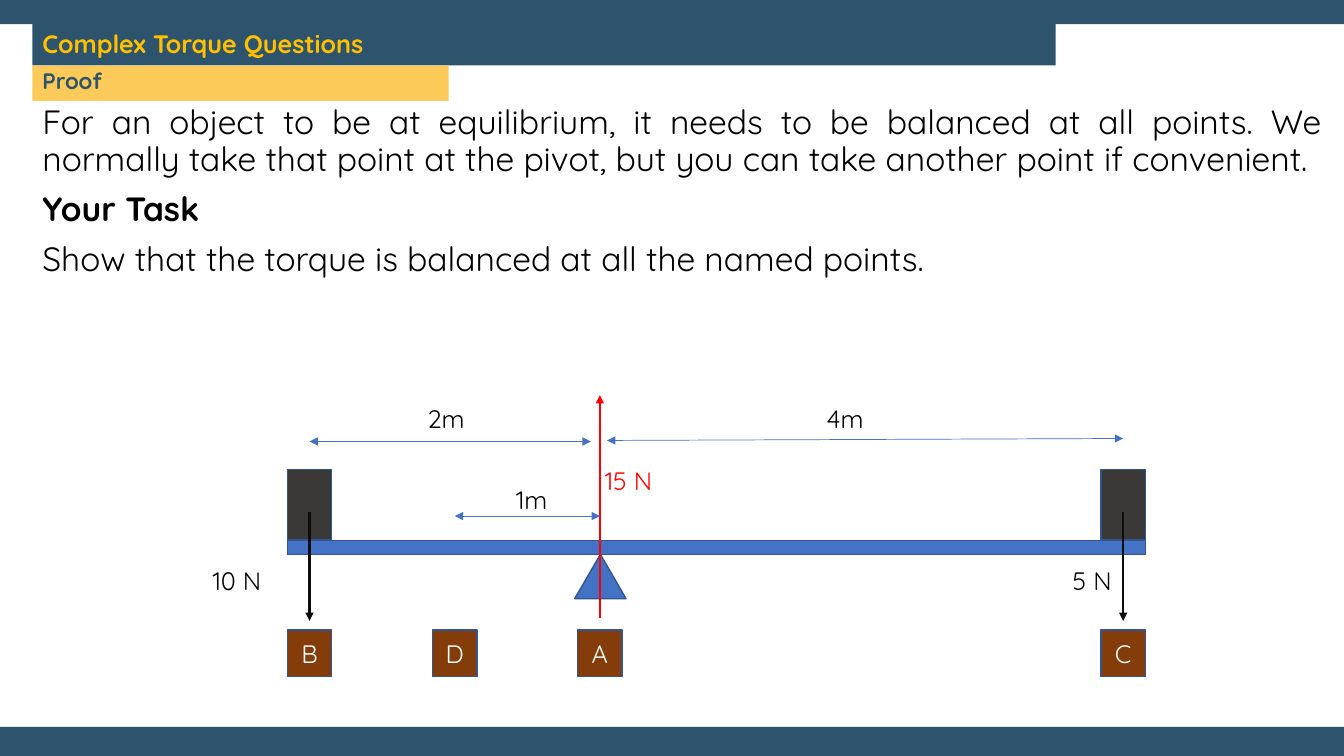
import pptx
import pptx.util
import pptx.dml.color
import pptx.enum.shapes
import pptx.enum.text
import lxml.etree

PX = 9144  # 100 px to the inch
FONT = "Quicksand"
NAVY, GOLD, WHITE, BLACK = "2E546D", "FBCA58", "FFFFFF", "000000"
BLUE, EDGE, BROWN, DARK, RED = "4472C4", "325491", "843C0B", "3B3838", "FF0000"
KIND = pptx.enum.shapes.MSO_SHAPE
ALIGN = pptx.enum.text.PP_ALIGN
ANCHOR = pptx.enum.text.MSO_ANCHOR


def emu(*nums):
    return [round(n * PX) for n in nums]


def paint(form, color):
    """Give a fill or a line format one solid colour."""
    if hasattr(form, "solid"):
        form.solid()
        form.fore_color.rgb = pptx.dml.color.RGBColor.from_string(color)
    else:
        paint(form.fill, color)


def style(para, size, color, bold=False, align=ALIGN.LEFT):
    para.alignment = align
    for run in para.runs:
        font = run.font
        font.name, font.size, font.bold = FONT, pptx.util.Pt(size), bold
        font.color.rgb = pptx.dml.color.RGBColor.from_string(color)


def shape(slide, kind, box, fill, edge=None):
    item = slide.shapes.add_shape(kind, *emu(*box))
    item.shadow.inherit = False
    paint(item.fill, fill)
    if edge:
        paint(item.line, edge)
        item.line.width = pptx.util.Pt(1)
    else:
        item.line.fill.background()
    return item


def label(slide, text, left, top, color=BLACK):
    box = slide.shapes.add_textbox(*emu(left, top, 76, 40))
    box.text_frame.word_wrap = True
    box.text_frame.text = text
    style(box.text_frame.paragraphs[0], 18, color, align=ALIGN.JUSTIFY)


def arrow(slide, start, end, color, width, both=False):
    line = slide.shapes.add_connector(
        pptx.enum.shapes.MSO_CONNECTOR.STRAIGHT, *emu(*start, *end))
    paint(line.line, color)
    line.line.width = pptx.util.Pt(width)
    tree = line.line._get_or_add_ln()
    for tag in ["headEnd", "tailEnd"] if both else ["tailEnd"]:
        tip = lxml.etree.SubElement(tree, pptx.oxml.ns.qn("a:" + tag))
        tip.set("type", "triangle")
    lxml.etree.SubElement(line._element.spPr, pptx.oxml.ns.qn("a:effectLst"))


def fill_holder(holder, box, lines, anchor=ANCHOR.TOP):
    """Move a placeholder and write plain paragraphs without bullets."""
    holder.left, holder.top, holder.width, holder.height = emu(*box)
    frame = holder.text_frame
    frame.auto_size = pptx.enum.text.MSO_AUTO_SIZE.NONE
    frame.word_wrap = True
    frame.vertical_anchor = anchor
    for i, (text, *look) in enumerate(lines):
        para = frame.add_paragraph() if i else frame.paragraphs[0]
        props = para._p.get_or_add_pPr()
        props.set("marL", "0")
        props.set("indent", "0")
        lxml.etree.SubElement(props, pptx.oxml.ns.qn("a:buNone"))
        para.text = text
        para.line_spacing = 0.9
        para.space_before = pptx.util.Pt(10 if i else 0)
        style(para, *look)


def frame(slide, wide, high):
    """Dark bands along the top and bottom edges."""
    shape(slide, KIND.RECTANGLE, (0, 0, wide, 24), NAVY)
    shape(slide, KIND.RECTANGLE, (0, 721, wide, high - 721), NAVY)


def header(slide, left, top):
    title, sub, body = slide.placeholders
    paint(title.fill, NAVY)
    paint(sub.fill, GOLD)
    fill_holder(title, (left, top, 1015, 41),
                [("Complex Torque Questions", 18, "FFC000", True)],
                ANCHOR.MIDDLE)
    fill_holder(sub, (left, top + 41, 413, 35), [("Proof", 16, NAVY, True)])
    fill_holder(body, (left, top + 76, 1289, 190), [
        ("For an object to be at equilibrium, it needs to be balanced at all "
         "points. We normally take that point at the pivot, but you can take "
         "another point if convenient.", 24, BLACK, False, ALIGN.JUSTIFY),
        ("Your Task", 24, BLACK, True, ALIGN.JUSTIFY),
        ("Show that the torque is balanced at all the named points.",
         24, BLACK, False, ALIGN.JUSTIFY)])


def load(slide, mid, beam, text, gap):
    """Block on the beam with its weight arrow and label."""
    shape(slide, KIND.RECTANGLE, (mid - 22, beam - 70, 44, 70), DARK, EDGE)
    arrow(slide, (mid, beam - 28), (mid, beam + 80), "0D0D0D", 1.5)
    label(slide, text, mid - gap, beam + 20)


def balance(slide, left, top, wide):
    beam = top + 144
    spots = {"B": left + 22, "D": left + 166, "A": left + 310,
             "C": left + wide - 22}
    pivot = spots["A"]
    label(slide, "15 N", pivot - 5, top + 65, RED)
    shape(slide, KIND.RECTANGLE, (left, beam, wide, 14), BLUE, EDGE)
    shape(slide, KIND.ISOSCELES_TRIANGLE, (pivot - 25, beam + 14, 51, 44),
          BLUE, EDGE)
    load(slide, spots["B"], beam, "10 N", 106)
    load(slide, spots["C"], beam, "5 N", 60)
    arrow(slide, (pivot, top + 221), (pivot, top), RED, 1.5)

    for name, mid in spots.items():
        tag = shape(slide, KIND.RECTANGLE, (mid - 22, top + 233, 44, 46),
                    BROWN, EDGE)
        tag.text_frame.text = name
        tag.text_frame.vertical_anchor = ANCHOR.MIDDLE
        style(tag.text_frame.paragraphs[0], 18, WHITE, align=ALIGN.CENTER)

    spans = [("2m", spots["B"], pivot - 9, 46, 46, 414),
             ("4m", pivot + 7, spots["C"], 45, 43, 810),
             ("1m", spots["D"], pivot, 120, 120, 502)]
    for text, start, end, high, low, place in spans:
        arrow(slide, (start, top + high), (end, top + low), BLUE, 0.5, True)
        label(slide, text, left + place - 285, top + (84 if text == "1m" else 3))


def main():
    deck = pptx.Presentation()
    deck.slide_width, deck.slide_height = emu(1333, 750)
    slide = deck.slides.add_slide(deck.slide_layouts.get_by_name("Two Content"))
    for holder in list(slide.placeholders):
        if holder.placeholder_format.idx > 2:
            holder._element.getparent().remove(holder._element)
    frame(slide, 1333, 750)
    header(slide, 32, 24)
    balance(slide, 285, 392, 851)
    deck.save("out.pptx")


if __name__ == "__main__":
    main()
